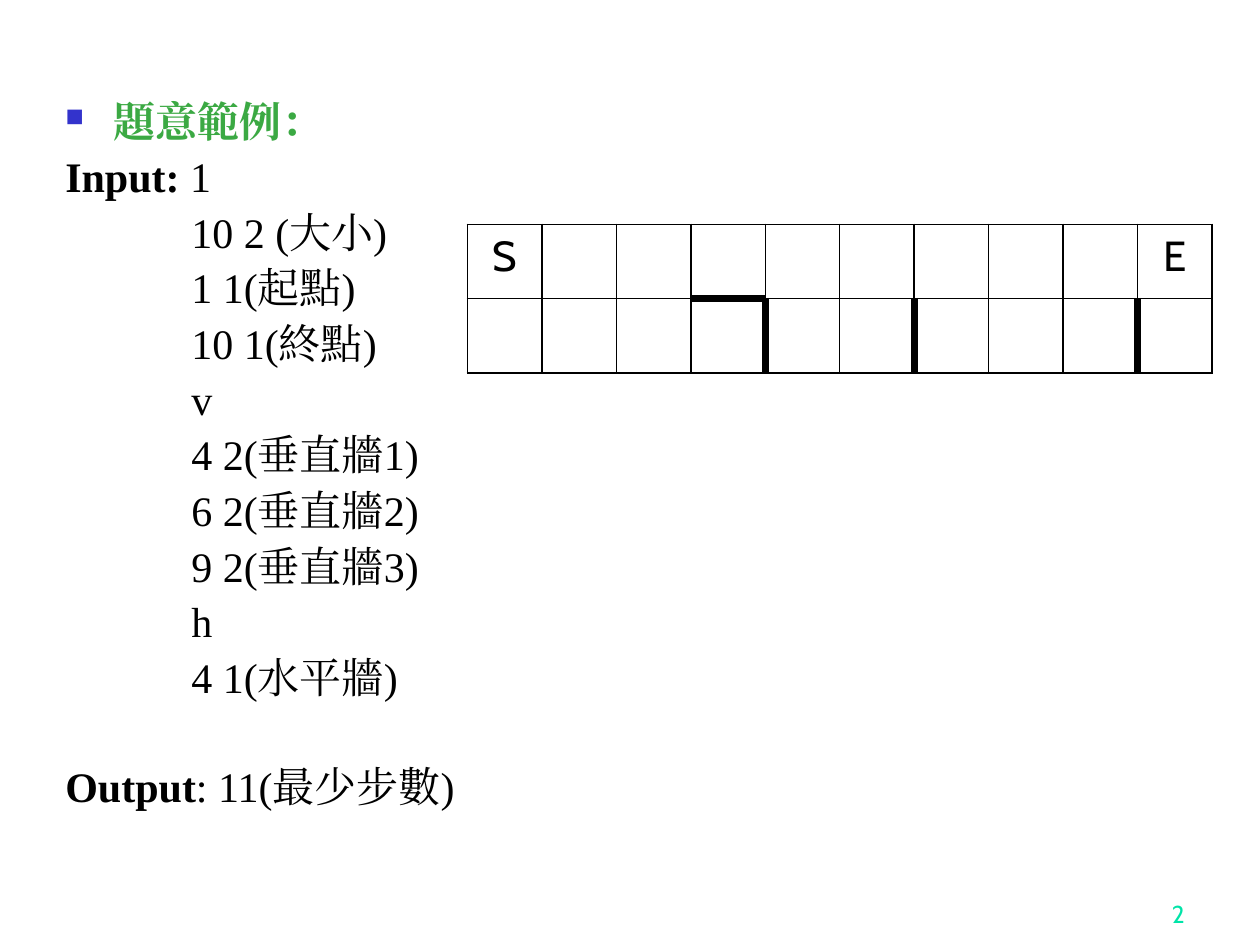
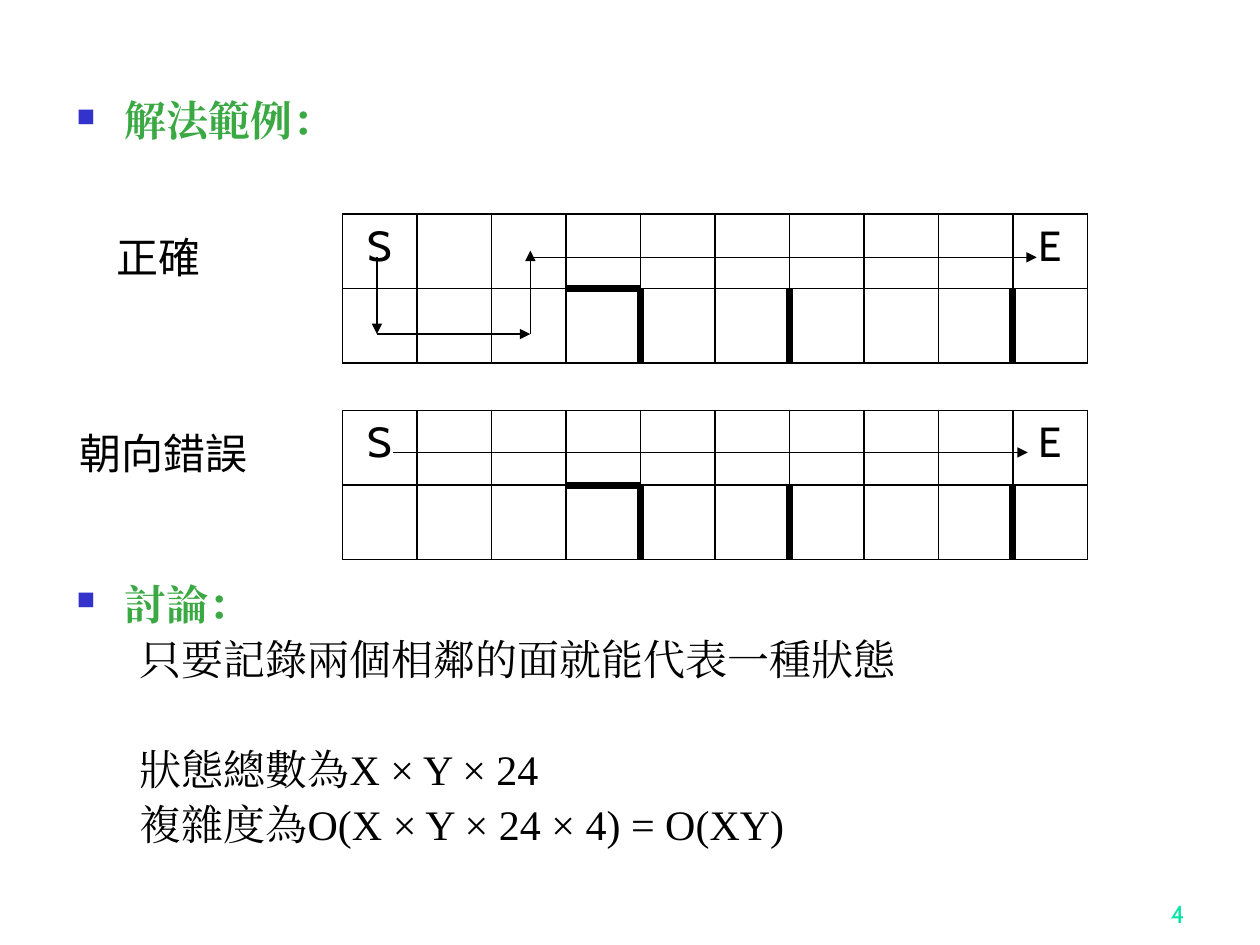
from lxml import etree
from pptx import Presentation
from pptx import util as u
from pptx.dml.color import RGBColor
from pptx.enum import shapes, text
from pptx.oxml.ns import qn

BLACK, GREEN, BLUE, MINT = "000000", "3BA943", "3333CC", "00E4A8"
SERIF, SANS, CJK = "Times New Roman", "Cabin", "Noto Sans CJK SC"
BODY_TOP, BODY_W, BODY_H = 0.75, 8.83, 6.15
LINE, GAP = 30.67, 5.9
COLS, ROWS = 10, 2
CELL = 5.91 / COLS
THIN, THICK = 1, 4.5
VERTICAL_WALLS = [(4, 2), (6, 2), (9, 2)]
HORIZONTAL_WALLS = [(4, 1)]


def color(value):
    return RGBColor.from_string(value)


def add_xml(parent, tag, **attrs):
    return etree.SubElement(parent, qn(tag), attrs)


def add_run(p, words, size=24, font=SERIF, fill=BLACK, bold=False):
    r = p.add_run()
    r.text = words
    r.font.size = u.Pt(size)
    r.font.bold = bold
    r.font.color.rgb = color(fill)
    r.font.name = font
    add_xml(r.font._element, "a:ea", typeface=font)


def add_bullet(p):
    pPr = p._p.get_or_add_pPr()
    pPr.set("indent", str(-u.Inches(0.38)))
    add_xml(add_xml(pPr, "a:buClr"), "a:srgbClr", val=BLUE)
    add_xml(pPr, "a:buSzPct", val="60000")
    add_xml(pPr, "a:buChar", char="■")


def add_box(sl, left, top, width, height, wrap=True, anchor=text.MSO_ANCHOR.TOP):
    sp = sl.shapes.add_textbox(*map(u.Inches, (left, top, width, height)))
    tf = sp.text_frame
    tf.word_wrap = wrap
    tf.vertical_anchor = anchor
    return tf


def add_heading(tf, words):
    p = tf.paragraphs[0]
    p.line_spacing = 0.9
    add_bullet(p)
    p._p.get_or_add_pPr().set("marL", str(u.Inches(0.38)))
    add_run(p, words, fill=GREEN, bold=True)


def add_line(tf, words, lead="", indent=0, skip=0):
    p = tf.add_paragraph()
    p.line_spacing = 0.9
    p.space_before = u.Pt(GAP + skip * LINE)
    p._p.get_or_add_pPr().set("marL", str(u.Inches(indent)))
    if lead:
        add_run(p, lead, bold=True)
    add_run(p, words)


def add_label(sl, words, left, top, width):
    tf = add_box(sl, left, top, width, 0.5, wrap=False)
    add_run(tf.paragraphs[0], words, font=CJK)


def add_page_number(sl, number):
    tf = add_box(sl, 7.42, 6.92, 2.08, 0.5, anchor=text.MSO_ANCHOR.BOTTOM)
    p = tf.paragraphs[0]
    p.alignment = text.PP_ALIGN.RIGHT
    add_run(p, number, size=14, font=SANS, fill=MINT)


def set_borders(cell, x, y):
    walls = {
        "L": (x - 1, y) in VERTICAL_WALLS,
        "R": (x, y) in VERTICAL_WALLS,
        "T": (x, y - 1) in HORIZONTAL_WALLS,
        "B": (x, y) in HORIZONTAL_WALLS,
    }
    tcPr = cell._tc.get_or_add_tcPr()
    for side, wall in walls.items():
        ln = add_xml(tcPr, f"a:ln{side}", w=str(u.Pt(THICK if wall else THIN)))
        add_xml(add_xml(ln, "a:solidFill"), "a:srgbClr", val=BLACK)
    cell.fill.background()


def add_maze(sl, left, top):
    size = (left, top, COLS * CELL, ROWS * CELL)
    table = sl.shapes.add_table(ROWS, COLS, *map(u.Inches, size)).table
    table.first_row = table.horz_banding = False
    for y in range(ROWS):
        for x in range(COLS):
            set_borders(table.cell(y, x), x + 1, y + 1)
    for x, mark in ((0, "S"), (COLS - 1, "E")):
        p = table.cell(0, x).text_frame.paragraphs[0]
        p.alignment = text.PP_ALIGN.CENTER
        add_run(p, mark, font=SANS)


def add_arrow(sl, left, top, start, end):
    points = [u.Inches(origin + CELL * n)
              for point in (start, end) for origin, n in zip((left, top), point)]
    c = sl.shapes.add_connector(shapes.MSO_CONNECTOR.STRAIGHT, *points)
    c.line.color.rgb = color(BLACK)
    c.line.width = u.Pt(0.75)
    add_xml(c.line._get_or_add_ln(), "a:tailEnd", type="triangle")
    add_xml(c._element.spPr, "a:effectLst")


def add_slide(prs, number):
    sl = prs.slides.add_slide(prs.slide_layouts[6])
    add_page_number(sl, number)
    return sl


def build_example(prs):
    sl = add_slide(prs, "2")
    tf = add_box(sl, 0.42, BODY_TOP, BODY_W, BODY_H)
    add_heading(tf, "題意範例：")
    add_line(tf, "1", lead="Input: ")
    for words in ("10 2 (大小)", "1 1(起點)", "10 1(終點)", "v", "4 2(垂直牆1)",
                  "6 2(垂直牆2)", "9 2(垂直牆3)", "h", "4 1(水平牆)"):
        add_line(tf, words, indent=1)
    add_line(tf, ": 11(最少步數)", lead="Output", skip=1)
    add_maze(sl, 3.71, 1.78)


def build_solution(prs):
    sl = add_slide(prs, "4")
    left, maze_left = 0.51, 2.72
    offset = 9 * LINE / 72
    add_heading(add_box(sl, left, BODY_TOP, BODY_W, 0.5), "解法範例：")
    tf = add_box(sl, left, BODY_TOP + offset, BODY_W, BODY_H - offset)
    add_heading(tf, "討論：")
    add_line(tf, "只要記錄兩個相鄰的面就能代表一種狀態", indent=0.5)
    add_line(tf, "狀態總數為X × Y × 24", indent=0.5, skip=1)
    add_line(tf, "複雜度為O(X × Y × 24 × 4) = O(XY)", indent=0.5)

    add_label(sl, "正確", 0.83, 1.79, 0.88)
    add_label(sl, "朝向錯誤", 0.53, 3.34, 1.55)
    correct = [((0.46, 0.58), (0.46, 1.61)), ((0.46, 1.61), (2.52, 1.61)),
               ((2.52, 1.61), (2.52, 0.49)), ((2.52, 0.58), (9.32, 0.58))]
    wrong = [((0.68, 0.56), (9.2, 0.56))]
    for top, route in ((1.7, correct), (3.26, wrong)):
        add_maze(sl, maze_left, top)
        for start, end in route:
            add_arrow(sl, maze_left, top, start, end)


def main():
    prs = Presentation()
    prs.slide_width, prs.slide_height = u.Inches(10), u.Inches(7.5)
    build_example(prs)
    build_solution(prs)
    prs.save("out.pptx")


if __name__ == "__main__":
    main()
